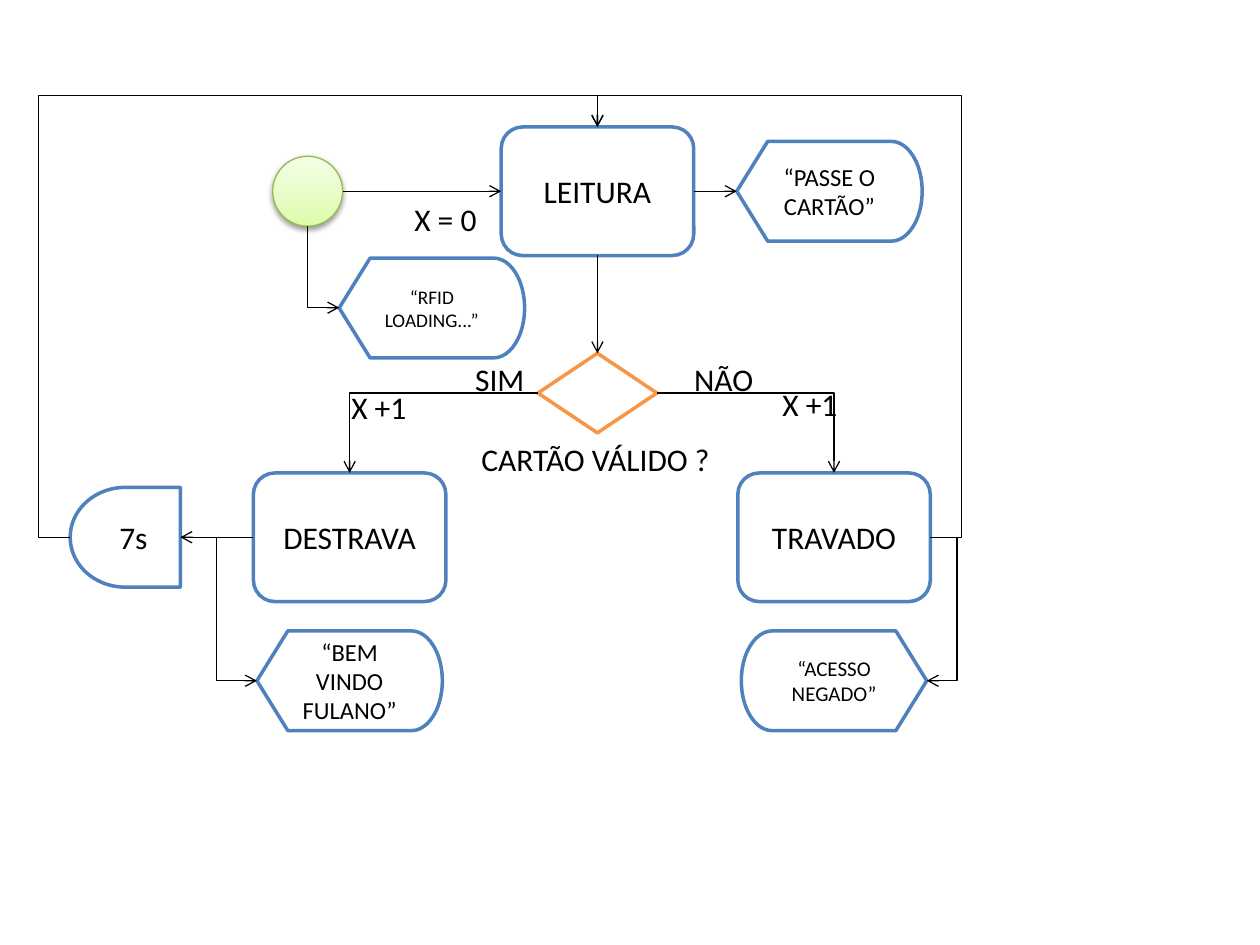
from lxml import etree
from pptx import Presentation
from pptx.dml.color import RGBColor
from pptx.enum.shapes import MSO_CONNECTOR, MSO_SHAPE
from pptx.enum.text import MSO_ANCHOR, MSO_AUTO_SIZE, PP_ALIGN
from pptx.oxml import parse_xml
from pptx.oxml.ns import nsdecls, qn
from pptx.util import Pt

STRAIGHT, ELBOW = MSO_CONNECTOR.STRAIGHT, MSO_CONNECTOR.ELBOW
PROCESS = MSO_SHAPE.FLOWCHART_ALTERNATE_PROCESS
DECISION = MSO_SHAPE.FLOWCHART_DECISION
DISPLAY = MSO_SHAPE.FLOWCHART_DISPLAY
DELAY = MSO_SHAPE.FLOWCHART_DELAY
START = MSO_SHAPE.FLOWCHART_CONNECTOR
MIDDLE, CENTER, LEFT = MSO_ANCHOR.MIDDLE, PP_ALIGN.CENTER, PP_ALIGN.LEFT
GROW = MSO_AUTO_SIZE.SHAPE_TO_FIT_TEXT

FONT = "Calibri"
COLORS = {
    "black": "000000", "white": "FFFFFF", "blue": "4F81BD", "orange": "F79646",
    "green": "98B955", "green_dark": "DAFDA7", "green_mid": "E4FCC2",
    "green_light": "F5FFE7",
}
SIZES = {PROCESS: (110, 73.5), DISPLAY: (106, 57), DELAY: (63, 57),
         DECISION: (68, 45.5), START: (40, 40)}


def rgb(name):
    return RGBColor.from_string(COLORS[name])


def set_text(tf, text, size, align):
    p = tf.paragraphs[0]
    p.text = text
    p.alignment = align
    for r in p.runs:
        r.font.name = FONT
        r.font.size = Pt(size)
        r.font.color.rgb = rgb("black")


def add_node(s, kind, cx, cy, text="", size=18, line="blue", flip=False):
    w, h = SIZES[kind]
    sp = s.shapes.add_shape(kind, Pt(cx - w / 2), Pt(cy - h / 2), Pt(w), Pt(h))
    sp.shadow.inherit = False
    sp.fill.solid()
    sp.fill.fore_color.rgb = rgb("white")
    sp.line.color.rgb = rgb(line)
    sp.line.width = Pt(2)
    if flip:
        sp._element.spPr.find(qn("a:xfrm")).set("flipH", "1")
    if text:
        sp.text_frame.word_wrap = True
        sp.text_frame.vertical_anchor = MIDDLE
        set_text(sp.text_frame, text, size, CENTER)
    return sp


def add_start(s, cx, cy):
    sp = add_node(s, START, cx, cy, line="green")
    sp.line.width = Pt(0.75)
    spPr = sp._element.spPr
    stops = ((0, "green_dark"), (35, "green_mid"), (100, "green_light"))
    gs = "".join(f'<a:gs pos="{pos * 1000}"><a:srgbClr val="{COLORS[c]}"/></a:gs>'
                 for pos, c in stops)
    spPr.replace(spPr.find(qn("a:solidFill")), parse_xml(
        f'<a:gradFill {nsdecls("a")} rotWithShape="1"><a:gsLst>{gs}</a:gsLst>'
        '<a:lin ang="16200000" scaled="0"/></a:gradFill>'))
    spPr.find(qn("a:effectLst")).append(parse_xml(
        f'<a:outerShdw {nsdecls("a")} blurRad="{Pt(3.1)}" dist="{Pt(1.6)}" '
        f'dir="5400000" rotWithShape="0"><a:srgbClr val="{COLORS["black"]}">'
        '<a:alpha val="38000"/></a:srgbClr></a:outerShdw>'))


def add_label(s, text, x, y, w):
    sp = s.shapes.add_textbox(Pt(x), Pt(y), Pt(w), Pt(29))
    sp.text_frame.word_wrap = False
    sp.text_frame.auto_size = GROW
    set_text(sp.text_frame, text, 18, LEFT)


def add_arrow(s, x1, y1, x2, y2, kind=STRAIGHT):
    c = s.shapes.add_connector(kind, Pt(x1), Pt(y1), Pt(x2), Pt(y2))
    c.line.color.rgb = rgb("black")
    c.line.width = Pt(0.75)
    ln = c.line._get_or_add_ln()
    etree.SubElement(ln, qn("a:tailEnd"), type="arrow")
    etree.SubElement(c._element.spPr, qn("a:effectLst"))
    return c


def add_bent(s, x, y, w, h, rot=0, flips="", adjust=()):
    c = add_arrow(s, x, y, x + w, y + h, ELBOW)
    xfrm = c._element.spPr.find(qn("a:xfrm"))
    if rot:
        xfrm.set("rot", str(rot * 60000))
    for f in flips:
        xfrm.set("flip" + f, "1")
    geom = c._element.spPr.find(qn("a:prstGeom"))
    geom.set("prst", "bentConnector4" if adjust else "bentConnector2")
    guides = geom.find(qn("a:avLst"))
    for i, value in enumerate(adjust, 1):
        etree.SubElement(guides, qn("a:gd"), name=f"adj{i}", fmla=f"val {value}")


def main():
    prs = Presentation()
    prs.slide_width, prs.slide_height = Pt(720), Pt(540)
    s = prs.slides.add_slide(prs.slide_layouts[6])

    mid, left, right = 341.4, 199.8, 476.6
    top, low, bottom = 109.3, 307, 389

    add_start(s, 175.8, top)
    add_node(s, DECISION, mid, 224.6, line="orange")
    for cx, cy, text in ((mid, top, "LEITURA"), (left, low, "DESTRAVA"),
                         (right, low, "TRAVADO")):
        add_node(s, PROCESS, cx, cy, text)
    add_node(s, DELAY, 71.6, low, "7s", flip=True)
    for cx, cy, text, size, flip in (
            (left, bottom, "“BEM VINDO FULANO”", 14, False),
            (right, bottom, "“ACESSO NEGADO”", 12, True),
            (246.8, 176, "“RFID LOADING...”", 11, False),
            (474, top, "“PASSE O CARTÃO”", 14, False)):
        add_node(s, DISPLAY, cx, cy, text, size, flip=flip)

    for ends in ((195.8, top, 286.4, top), (mid, 146, mid, 201.9),
                 (144.8, low, 103.1, low), (396.4, top, 421, top)):
        add_arrow(s, *ends)

    for bent in ((left, 224.6, 107.6, 45.6, 180, "V"),
                 (375.4, 224.6, 101.2, 45.6),
                 (40.1, 72.5, 301.3, 234.5, 180, "H", (-6000, 107700)),
                 (mid, 72.5, 190.2, 234.5, 0, "HV", (-9500, 107700)),
                 (94.2, 336.4, 82, 23.2, 270, "H"),
                 (497.2, 339.4, 82, 17.2, 90),
                 (161.4, 143.4, 46.8, 18, 270, "H")):
        add_bent(s, *bent)

    for label in (("X = 0", 229.7, 111, 50), ("SIM", 264.4, 202.3, 43),
                  ("NÃO", 389.5, 202.3, 48), ("CARTÃO VÁLIDO ?", 268, 247.7, 146),
                  ("X +1 ", 193.7, 218.2, 50), ("X +1 ", 440, 216.7, 50)):
        add_label(s, *label)

    prs.save("out.pptx")


main()
